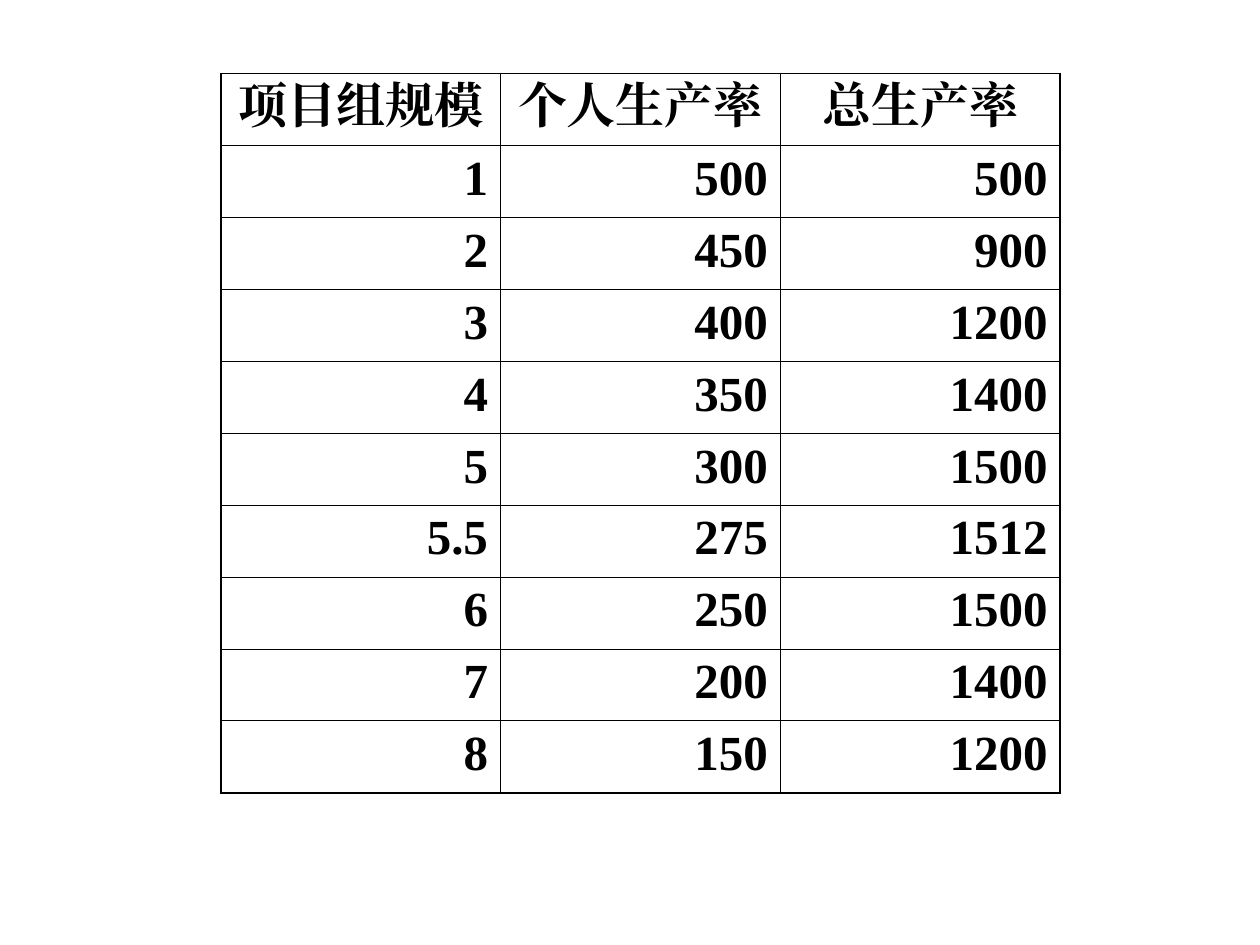
import pptx
import pptx.dml.color
import pptx.enum.text
import pptx.oxml
import pptx.oxml.ns
import pptx.util
from lxml import etree

Cm = pptx.util.Cm
Pt = pptx.util.Pt
ALIGN = pptx.enum.text.PP_ALIGN
BLACK = pptx.dml.color.RGBColor(0x00, 0x00, 0x00)
FONT = "Times New Roman"
THIN, THICK = Pt(0.45), Pt(1.08)

HEADINGS = ("项目组规模", "个人生产率", "总生产率")
PRODUCTIVITY = (
    ("1", "500", "500"),
    ("2", "450", "900"),
    ("3", "400", "1200"),
    ("4", "350", "1400"),
    ("5", "300", "1500"),
    ("5.5", "275", "1512"),
    ("6", "250", "1500"),
    ("7", "200", "1400"),
    ("8", "150", "1200"),
)


def write_text(text_frame, text, *, size, color, bold=False, align=ALIGN.LEFT):
    """Write one formatted paragraph."""
    paragraph = text_frame.paragraphs[0]
    paragraph.alignment = align
    run = paragraph.add_run()
    run.text = text
    run.font.name = FONT
    run.font.size = Pt(size)
    run.font.bold = bold
    run.font.color.rgb = color
    east_asian = etree.SubElement(run.font._element, pptx.oxml.ns.qn("a:ea"))
    east_asian.set("typeface", FONT)


class SlideBuilder:
    """Hold the style and the current slide."""

    def __init__(self, slide, text_size, color):
        """Keep the slide and its text style."""
        self.slide = slide
        self.text_size = text_size
        self.color = color

    def border(self, cell, side, width):
        """Draw one solid border of a cell."""
        properties = cell._tc.get_or_add_tcPr()
        line = etree.SubElement(properties, pptx.oxml.ns.qn(f"a:ln{side}"), w=str(int(width)))
        fill = etree.SubElement(line, pptx.oxml.ns.qn("a:solidFill"))
        etree.SubElement(fill, pptx.oxml.ns.qn("a:srgbClr"), val=str(self.color))

    def table(self, rows, left, top, column_width, row_height):
        """Add a table with a centred heading row and a thicker frame."""
        row_count, column_count = len(rows), len(rows[0])
        table = self.slide.shapes.add_table(
            row_count, column_count, left, top,
            column_width * column_count, row_height * row_count,
        ).table
        table.horz_banding = False
        for column in table.columns:
            column.width = column_width
        for row_index, values in enumerate(rows):
            table.rows[row_index].height = row_height
            for column_index, value in enumerate(values):
                cell = table.cell(row_index, column_index)
                write_text(
                    cell.text_frame, value, size=self.text_size, color=self.color,
                    bold=True, align=ALIGN.RIGHT if row_index else ALIGN.CENTER,
                )
                outer_sides = {
                    "L": column_index == 0,
                    "R": column_index == column_count - 1,
                    "T": row_index == 0,
                    "B": row_index == row_count - 1,
                }
                for side, outer in outer_sides.items():
                    self.border(cell, side, THICK if outer else THIN)
                cell.fill.background()


def main():
    """Build and save the productivity slide."""
    presentation = pptx.Presentation()
    presentation.slide_width = Cm(25.4)
    presentation.slide_height = Cm(19.05)
    slide = presentation.slides.add_slide(presentation.slide_layouts[6])
    builder = SlideBuilder(slide, text_size=28, color=BLACK)
    builder.table(
        (HEADINGS, *PRODUCTIVITY), left=Cm(4.45), top=Cm(1.48),
        column_width=Cm(5.64), row_height=Cm(1.45),
    )
    presentation.save("out.pptx")


if __name__ == "__main__":
    main()
